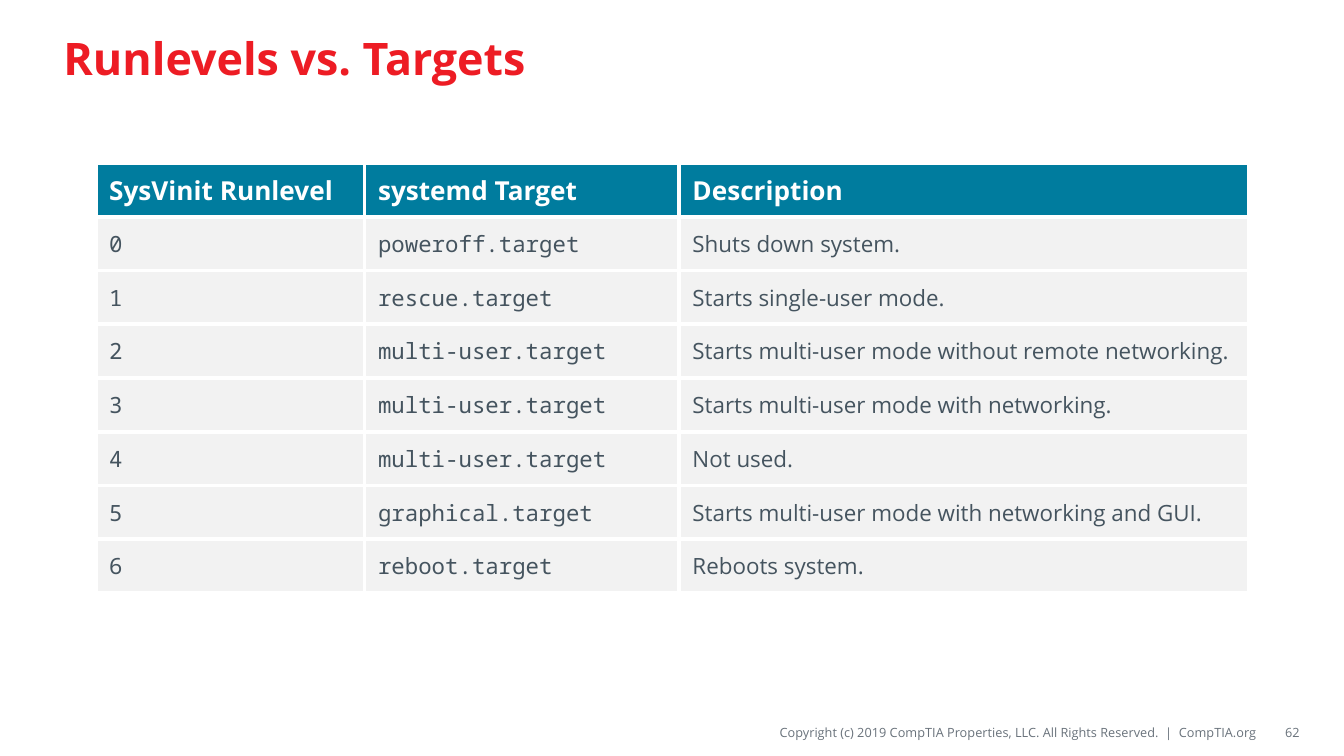
from lxml.etree import SubElement
from pptx import Presentation
from pptx.dml.color import RGBColor
from pptx.enum.text import MSO_ANCHOR, PP_ALIGN
from pptx.oxml.ns import qn
from pptx.util import Pt

RED = RGBColor(0xED, 0x1C, 0x24)
TEAL = RGBColor(0x00, 0x7C, 0x9E)
WHITE = RGBColor(0xFF, 0xFF, 0xFF)
LIGHT = RGBColor(0xF2, 0xF2, 0xF2)
SLATE = RGBColor(0x45, 0x54, 0x5F)
GRAY = RGBColor(0x69, 0x72, 0x7B)
SANS = "Open Sans"
MONO = "Noto Sans Mono"

HEADINGS = ("SysVinit Runlevel", "systemd Target", "Description")
RUNLEVELS = [
    ("0", "poweroff.target", "Shuts down system."),
    ("1", "rescue.target", "Starts single-user mode."),
    ("2", "multi-user.target", "Starts multi-user mode without remote networking."),
    ("3", "multi-user.target", "Starts multi-user mode with networking."),
    ("4", "multi-user.target", "Not used."),
    ("5", "graphical.target", "Starts multi-user mode with networking and GUI."),
    ("6", "reboot.target", "Reboots system."),
]
COLUMN_SHARES = (2, 2.34, 4.24)


def add_text(tf, text, size, color, font=SANS, bold=False, align=PP_ALIGN.LEFT):
    p = tf.paragraphs[0]
    p.alignment = align
    r = p.add_run()
    r.text = text
    r.font.name = font
    r.font.size = Pt(size)
    r.font.bold = bold
    r.font.color.rgb = color


def set_borders(cell, color, width):
    tc_pr = cell._tc.get_or_add_tcPr()
    for side in ("lnL", "lnR", "lnT", "lnB"):
        ln = SubElement(tc_pr, qn(f"a:{side}"), w=str(Pt(width)))
        fill = SubElement(ln, qn("a:solidFill"))
        SubElement(fill, qn("a:srgbClr"), val=str(color))


def add_title(s, left, top, width, height):
    sp = s.shapes.title
    sp.left, sp.top, sp.width, sp.height = Pt(left), Pt(top), Pt(width), Pt(height)
    tf = sp.text_frame
    tf.vertical_anchor = MSO_ANCHOR.MIDDLE
    add_text(tf, "Runlevels vs. Targets", 24, RED, bold=True)


def add_runlevel_table(s, left, top, width, height):
    rows = [HEADINGS] + RUNLEVELS
    table = s.shapes.add_table(
        len(rows), len(HEADINGS), Pt(left), Pt(top), Pt(width), Pt(height)
    ).table
    for column, share in zip(table.columns, COLUMN_SHARES):
        column.width = Pt(width * share / sum(COLUMN_SHARES))
    for i, row in enumerate(rows):
        table.rows[i].height = Pt(height / len(rows))
        for j, text in enumerate(row):
            cell = table.cell(i, j)
            cell.vertical_anchor = MSO_ANCHOR.MIDDLE
            set_borders(cell, WHITE, 2.25)
            cell.fill.solid()
            cell.fill.fore_color.rgb = LIGHT if i else TEAL
            if i == 0:
                add_text(cell.text_frame, text, 14, WHITE, bold=True)
            else:
                add_text(cell.text_frame, text, 12, SLATE, SANS if j == 2 else MONO)


def add_footer_text(s, text, left, top, width, height):
    tf = s.shapes.add_textbox(Pt(left), Pt(top), Pt(width), Pt(height)).text_frame
    tf.word_wrap = True
    tf.vertical_anchor = MSO_ANCHOR.MIDDLE
    tf.margin_left = tf.margin_right = 0
    add_text(tf, text, 6.8, GRAY, align=PP_ALIGN.RIGHT)


def add_footer(s, left, top, width, height):
    number_width = 21
    gap = 2
    add_footer_text(
        s,
        "Copyright (c) 2019 CompTIA Properties, LLC. All Rights Reserved.  |  CompTIA.org",
        left, top, width - number_width - gap, height,
    )
    add_footer_text(s, "62", left + width - number_width, top, number_width, height)


def main():
    prs = Presentation()
    prs.slide_width, prs.slide_height = Pt(720), Pt(405)
    s = prs.slides.add_slide(prs.slide_layouts[5])
    add_title(s, 26.8, 5.8, 666, 49.7)
    add_runlevel_table(s, 51.3, 87.3, 617.76, 230.4)
    add_footer(s, 279.3, 384.5, 417, 16)
    prs.save("out.pptx")


if __name__ == "__main__":
    main()
